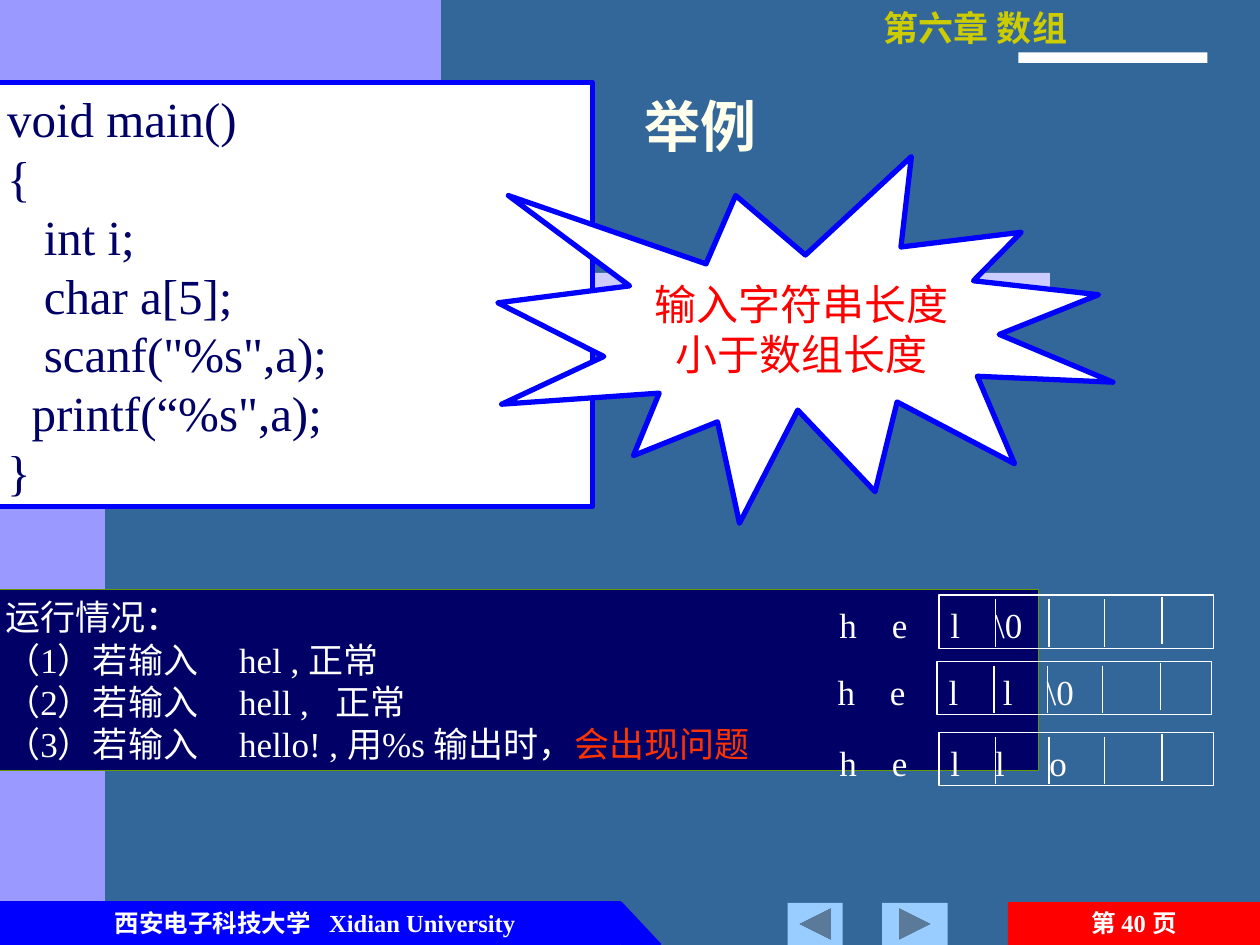
import pptx
import pptx.util
import pptx.dml.color
import pptx.enum.shapes
import pptx.enum.text
import pptx.oxml
import pptx.oxml.ns

Pt = pptx.util.Pt
KIND = pptx.enum.shapes.MSO_SHAPE
ALIGN = pptx.enum.text.PP_ALIGN
ANCHOR = pptx.enum.text.MSO_ANCHOR
SERIF, SANS = "Times New Roman", "Noto Sans CJK SC"
WHITE, BLUE, NAVY, RED, LILAC = "FFFFFF", "0000FF", "000066", "FF0000", "9999FF"


def hue(code):
    return pptx.dml.color.RGBColor.from_string(code)


def node(parent, tag, **attrs):
    child = parent.makeelement(pptx.oxml.ns.qn(tag), attrs)
    parent.append(child)
    return child


class Deck:
    """Holds the text style and the current slide."""
    style = {"size": 20, "name": SERIF, "bold": False, "color": WHITE}

    def __init__(self, back):
        self.file = pptx.Presentation()
        self.file.slide_width, self.file.slide_height = Pt(720), Pt(540)
        self.slide = self.file.slides.add_slide(self.file.slide_layouts[6])
        fill = self.slide.background.fill
        fill.solid()
        fill.fore_color.rgb = hue(back)

    def paint(self, shape, fill=None, line=None, width=0.75):
        shape.shadow.inherit = False
        if fill:
            shape.fill.solid()
            shape.fill.fore_color.rgb = hue(fill)
        else:
            shape.fill.background()
        if line:
            shape.line.color.rgb = hue(line)
            shape.line.width = Pt(width)
        else:
            shape.line.fill.background()
        return shape

    def shape(self, kind, box, fill=None, line=None, width=0.75):
        item = self.slide.shapes.add_shape(kind, *map(Pt, box))
        return self.paint(item, fill, line, width)

    def outline(self, points, fill):
        form = self.slide.shapes.build_freeform(*points[0], scale=Pt(1))
        form.add_line_segments(points[1:])
        return self.paint(form.convert_to_shape(), fill)

    def rule(self, x, top, end):
        line = self.slide.shapes.add_connector(
            pptx.enum.shapes.MSO_CONNECTOR.STRAIGHT, Pt(x), Pt(top), Pt(x), Pt(end))
        line.line.color.rgb = hue(WHITE)
        line.line.width = Pt(0.75)
        node(line._element.spPr, "a:effectLst")

    def label(self, box, lines, **form):
        item = self.slide.shapes.add_textbox(*map(Pt, box))
        self.text(item, lines, **form)

    def text(self, shape, lines, align=ALIGN.LEFT, anchor=ANCHOR.TOP,
             tabs=(), lead=1.2, **form):
        """Each line is a list of (text, format changes) pairs."""
        frame = shape.text_frame
        frame.word_wrap = True
        frame.vertical_anchor = anchor
        for i, runs in enumerate(lines):
            para = frame.paragraphs[0] if i == 0 else frame.add_paragraph()
            if tabs:
                stops = node(para._p.get_or_add_pPr(), "a:tabLst")
                for stop in tabs:
                    node(stops, "a:tab", pos=str(Pt(stop)), algn="l")
            para.alignment = align
            for words, change in runs:
                look = {**self.style, **form, **change}
                para.line_spacing = Pt(look["size"] * lead)
                self.run(para, words, look)

    def run(self, para, words, look):
        run = para.add_run()
        run.text = words
        run.font.color.rgb = hue(look["color"])
        for key in ("size", "name", "bold"):
            value = look[key]
            setattr(run.font, key, Pt(value) if key == "size" else value)
        node(run._r.get_or_add_rPr(), "a:ea", typeface=SANS)


def plain(*texts):
    return [[(words, {})] for words in texts]


def main():
    deck = Deck("336699")

    # Side band, top band and middle bar
    deck.shape(KIND.RECTANGLE, (0, 0, 60, 540), LILAC)
    deck.outline([(252, 0), (252, 60), (84, 60), (74, 61), (67, 66), (62, 75),
                  (60, 84), (60, 92), (36, 92), (36, 0)], LILAC)
    deck.shape(KIND.RECTANGLE, (48, 156, 552, 25), "CCCCFF")

    # Footer
    deck.shape(KIND.RECTANGLE, (0, 515.5, 354.5, 24), BLUE, BLUE)
    deck.shape(KIND.RIGHT_TRIANGLE, (355, 515.5, 22.5, 24), BLUE, BLUE)
    deck.label((58.5, 515.5, 280, 24), plain("西安电子科技大学\tXidian University"),
               tabs=[122.5], size=14, bold=True)
    page = deck.shape(KIND.RECTANGLE, (576, 515.5, 144, 24.5), RED)
    deck.text(page, plain("第 40 页"), align=ALIGN.CENTER, size=14, bold=True)
    for x, width, turn in ((504, 37.5, 0), (450, 31.5, 180)):
        key = deck.shape(KIND.ACTION_BUTTON_FORWARD_OR_NEXT,
                         (x, 516, width, 24), "99CCFF")
        key.rotation = turn

    # Chapter heading
    deck.label((498, 0, 214, 32), plain("第六章 数组"), name=SANS, bold=True,
               color="CCCC00")
    deck.shape(KIND.RECTANGLE, (582, 30, 108, 6), WHITE)

    # Program
    code = deck.shape(KIND.RECTANGLE, (-3, 47, 341.5, 242.5), WHITE, BLUE, 3)
    deck.text(code, plain("void main()", "{", "   int i;", "   char a[5];",
                          "   scanf(\"%s\",a);", "  printf(“%s\",a);", "}"),
              anchor=ANCHOR.MIDDLE, size=28, color=NAVY)

    # Results
    result = deck.shape(KIND.RECTANGLE, (-4, 337, 597.5, 103.5), NAVY, "669900")
    deck.text(result, plain("运行情况：", "（1）若输入\thel , 正常",
                            "（2）若输入\thell ,\t正常")
              + [[("（3）若输入\thello! , 用%s 输出时，", {}),
                  ("会出现问题", {"color": "FF3300"})]],
              tabs=[133.5, 188.5])

    # Array cells, one row for each input
    rows = ((536.5, 340, "h\te\tl\t\\0", (30, 63.5, 89)),
            (535.5, 378, "h\te\tl\tl\t\\0", (30, 63.5, 94.5, 119.5)),
            (536.5, 418.5, "h\te\tl\tl\to", (30, 63.5, 89, 120)))
    for left, top, words, tabs in rows:
        for gap, drop in ((32.5, 2.5), (63, 2.5), (94.5, 2.5), (127.5, 1)):
            deck.rule(left + gap, top + drop, top + drop + 27)
        deck.shape(KIND.RECTANGLE, (left, top, 157, 30.5), None, WHITE)
        deck.label((left - 64, top + 1.5, 240, 31.5), plain(words), tabs=tabs)

    # Callout
    burst = deck.shape(KIND.EXPLOSION1, (284.5, 89.5, 351.5, 209.5), WHITE, BLUE, 3)
    deck.text(burst, plain("输入字符串长度", "小于数组长度"), align=ALIGN.CENTER,
              anchor=ANCHOR.MIDDLE, size=24, name=SANS, color=RED)

    # Title
    deck.label((361.5, 51, 136, 43), plain("举例"), anchor=ANCHOR.BOTTOM,
               lead=1.08, size=32, name="Arial", bold=True, color="FFFFEB")

    deck.file.save("out.pptx")


if __name__ == "__main__":
    main()
